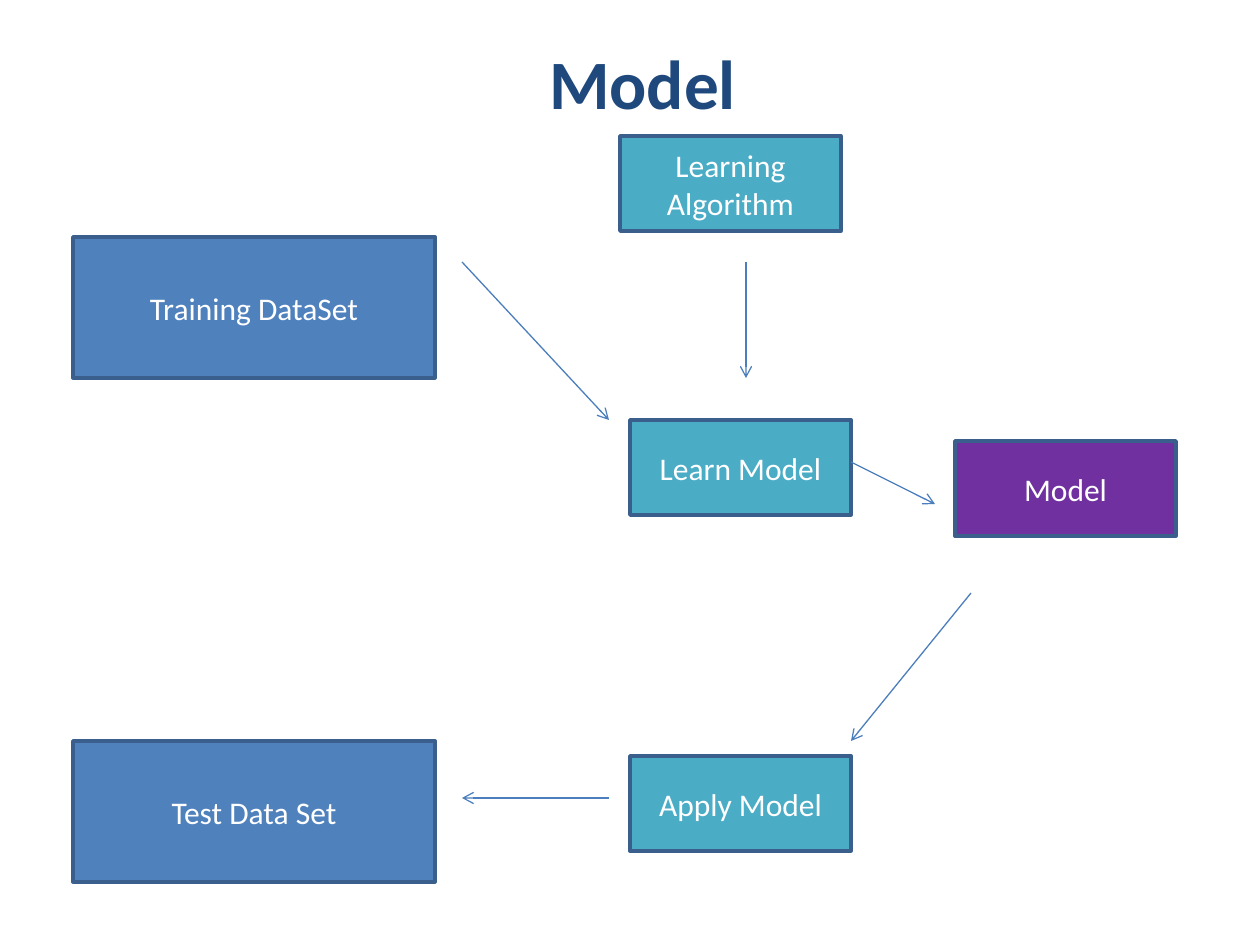
from lxml.etree import SubElement
from pptx import Presentation
from pptx.dml.color import RGBColor
from pptx.enum.shapes import MSO_CONNECTOR as Connector, MSO_SHAPE as Shape
from pptx.enum.text import MSO_ANCHOR as Anchor, MSO_AUTO_SIZE as AutoSize, PP_ALIGN as Align
from pptx.oxml.ns import qn
from pptx.util import Emu, Pt

COLORS = {
    "background": "FFFFFF",
    "title": "1F497D",
    "data": "4F81BD",
    "process": "4BACC6",
    "model": "7030A0",
    "outline": "3A5F8C",
    "arrow": "4B7EBC",
    "label": "FFFFFF",
}
FONT = "Calibri"
SLIDE_SIZE = (1260, 945)
DATA_SIZE = (362, 141)
STEP_SIZE = (221, 95)


def px(length):
    return Emu(round(length * 914400 / 126))


def color(name):
    return RGBColor.from_string(COLORS[name])


def set_text(shape, text, size=18, color_name="label", bold=False):
    frame = shape.text_frame
    frame.word_wrap = True
    frame.auto_size = AutoSize.NONE
    frame.vertical_anchor = Anchor.MIDDLE
    paragraph = frame.paragraphs[0]
    paragraph.alignment = Align.CENTER
    run = paragraph.add_run()
    run.text = text
    run.font.name = FONT
    run.font.size = Pt(size)
    run.font.bold = bold
    run.font.color.rgb = color(color_name)


def set_title(slide, text, left, top, width, height):
    title = slide.shapes.title
    title.left, title.top = px(left), px(top)
    title.width, title.height = px(width), px(height)
    title.fill.solid()
    title.fill.fore_color.rgb = color("background")
    set_text(title, text, size=39.6, color_name="title", bold=True)


def add_box(slide, text, left, top, size, fill):
    box = slide.shapes.add_shape(Shape.RECTANGLE, px(left), px(top), *map(px, size))
    box.shadow.inherit = False
    box.fill.solid()
    box.fill.fore_color.rgb = color(fill)
    box.line.color.rgb = color("outline")
    box.line.width = Pt(2)
    set_text(box, text)


def add_arrow(slide, start, end):
    arrow = slide.shapes.add_connector(Connector.STRAIGHT, *map(px, start + end))
    arrow.line.color.rgb = color("arrow")
    arrow.line.width = Pt(0.75)
    properties = arrow.element.spPr
    SubElement(properties.find(qn("a:ln")), qn("a:tailEnd"), type="arrow")
    SubElement(properties, qn("a:effectLst"))


def add_flow(slide, left, top):
    # Boxes, relative to the corner of the diagram
    boxes = [
        ("Training DataSet", 0, 101, DATA_SIZE, "data"),
        ("Test Data Set", 0, 605, DATA_SIZE, "data"),
        ("Learning Algorithm", 547, 0, STEP_SIZE, "process"),
        ("Learn Model", 557, 284, STEP_SIZE, "process"),
        ("Apply Model", 557, 620, STEP_SIZE, "process"),
        ("Model", 882, 305, STEP_SIZE, "model"),
    ]
    for text, x, y, size, fill in boxes:
        add_box(slide, text, left + x, top + y, size, fill)

    # Arrows between the boxes
    arrows = [
        ((389, 126), (536, 284)),  # training data to learning
        ((673, 126), (673, 242)),  # algorithm to learning
        ((778, 326), (862, 368)),  # learning to model
        ((898, 457), (778, 605)),  # model to applying
        ((536, 662), (389, 662)),  # applying to test data
    ]
    for (x1, y1), (x2, y2) in arrows:
        add_arrow(slide, (left + x1, top + y1), (left + x2, top + y2))


def main():
    presentation = Presentation()
    presentation.slide_width, presentation.slide_height = map(px, SLIDE_SIZE)
    slide = presentation.slides.add_slide(presentation.slide_layouts[5])
    set_title(slide, "Model ", 149, 45, 1003, 74)
    add_flow(slide, 73, 136)
    presentation.save("out.pptx")


if __name__ == "__main__":
    main()
